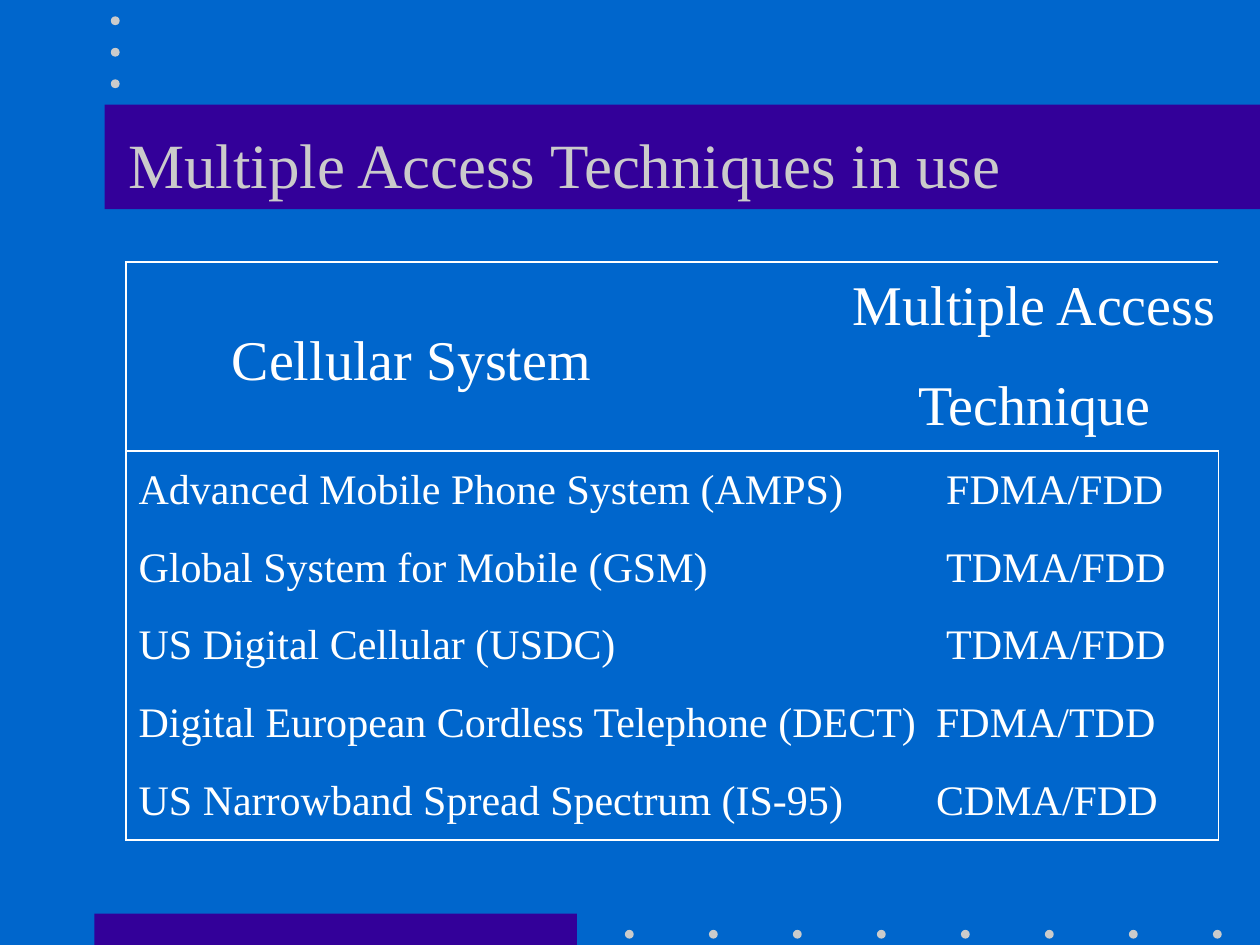
from typing import NamedTuple

from lxml import etree
from pptx import Presentation
from pptx.dml.color import RGBColor
from pptx.enum.shapes import MSO_SHAPE
from pptx.enum.text import MSO_ANCHOR, PP_ALIGN
from pptx.oxml.ns import qn
from pptx.util import Inches, Pt

RECTANGLE, OVAL = MSO_SHAPE.RECTANGLE, MSO_SHAPE.OVAL
LEFT, CENTER = PP_ALIGN.LEFT, PP_ALIGN.CENTER
MIDDLE = MSO_ANCHOR.MIDDLE

FONT = "Times New Roman"
BLUE, PURPLE, GRAY, WHITE = "0066CC", "330099", "CBCBCB", "FFFFFF"

DOT_SIZE = 0.07
TABLE_LEFT, TABLE_TOP = 1, 2.08
# The narrow middle column belongs to the header's right cell and the body's left cell.
COLUMN_WIDTHS = (5.72, 0.63, 2.32)
HEADER_HEIGHT, BODY_HEIGHT = 1.5, 3.09


class CellularSystem(NamedTuple):
    name: str
    technique: str
    indent: float


SYSTEMS = (
    CellularSystem("Advanced Mobile Phone System (AMPS)", "FDMA/FDD", 0.16),
    CellularSystem("Global System for Mobile (GSM)", "TDMA/FDD", 0.16),
    CellularSystem("US Digital Cellular (USDC)", "TDMA/FDD", 0.16),
    CellularSystem("Digital European Cordless Telephone (DECT)", "FDMA/TDD", 0.08),
    CellularSystem("US Narrowband Spread Spectrum (IS-95)", "CDMA/FDD", 0.08),
)


def color(value: str) -> RGBColor:
    return RGBColor.from_string(value)


def add_filled_shape(slide, kind, left: float, top: float, width: float,
                     height: float, fill: str) -> None:
    shape = slide.shapes.add_shape(
        kind, Inches(left), Inches(top), Inches(width), Inches(height))
    shape.shadow.inherit = False
    shape.fill.solid()
    shape.fill.fore_color.rgb = color(fill)
    shape.line.fill.background()


def write_text(text_frame, text: str, *, size: float, font_color: str = WHITE,
               align=LEFT, gap: float = 0) -> None:
    """Write one paragraph per line, with gap points between paragraphs."""
    lines = text.split("\n")
    for index, line in enumerate(lines):
        paragraph = text_frame.paragraphs[0] if index == 0 else text_frame.add_paragraph()
        paragraph.alignment = align
        if index < len(lines) - 1:
            paragraph.space_after = Pt(gap)
        run = paragraph.add_run()
        run.text = line
        run.font.name = FONT
        run.font.size = Pt(size)
        run.font.color.rgb = color(font_color)


def set_borders(cell, visible_sides: str) -> None:
    """Draw the sides named by the letters L, R, T and B; hide the others."""
    properties = cell._tc.get_or_add_tcPr()
    for side in "LRTB":
        line = etree.SubElement(properties, qn(f"a:ln{side}"), w=str(Pt(1)))
        if side in visible_sides:
            fill = etree.SubElement(line, qn("a:solidFill"))
            etree.SubElement(fill, qn("a:srgbClr"), val=WHITE)
        else:
            etree.SubElement(line, qn("a:noFill"))


def fill_cell(cell, text: str, *, size: float, left: float, top: float = 0.05,
              align=LEFT, gap: float = 0) -> None:
    cell.margin_left, cell.margin_right = Inches(left), 0
    cell.margin_top, cell.margin_bottom = Inches(top), Inches(0.05)
    cell.vertical_anchor = MIDDLE
    write_text(cell.text_frame, text, size=size, align=align, gap=gap)


def add_title(slide) -> None:
    box = slide.shapes.add_textbox(Inches(0.92), Inches(0.67), Inches(8.5), Inches(1.25))
    box.text_frame.word_wrap = True
    box.text_frame.vertical_anchor = MIDDLE
    write_text(box.text_frame, "Multiple Access Techniques in use",
               size=36, font_color=GRAY)


def add_systems_table(slide) -> None:
    row_count, column_count = len(SYSTEMS) + 1, len(COLUMN_WIDTHS)
    table = slide.shapes.add_table(
        row_count, column_count, Inches(TABLE_LEFT), Inches(TABLE_TOP),
        Inches(sum(COLUMN_WIDTHS)), Inches(HEADER_HEIGHT + BODY_HEIGHT)).table
    table.first_row = table.horz_banding = False
    for column, width in zip(table.columns, COLUMN_WIDTHS):
        column.width = Inches(width)
    for index, row in enumerate(table.rows):
        row.height = Inches(BODY_HEIGHT / len(SYSTEMS) if index else HEADER_HEIGHT)
        for position, cell in enumerate(row.cells):
            sides = "TB" if index == 0 else ""
            sides += "T" if index == 1 else ""
            sides += "B" if index == row_count - 1 else ""
            sides += "L" if position == 0 else ""
            sides += "R" if position == column_count - 1 else ""
            set_borders(cell, sides)
            cell.fill.background()

    table.cell(0, 1).merge(table.cell(0, 2))
    fill_cell(table.cell(0, 0), "Cellular System", size=32, left=0.84, top=0.13)
    fill_cell(table.cell(0, 1), "Multiple Access\nTechnique", size=32, left=0.03,
              align=CENTER, gap=22)
    for index, system in enumerate(SYSTEMS, start=1):
        table.cell(index, 0).merge(table.cell(index, 1))
        fill_cell(table.cell(index, 0), system.name, size=24, left=0.1)
        fill_cell(table.cell(index, 2), system.technique, size=24, left=system.indent)


def main() -> None:
    presentation = Presentation()
    presentation.slide_width, presentation.slide_height = Inches(10), Inches(7.5)
    slide = presentation.slides.add_slide(presentation.slide_layouts[6])
    slide.background.fill.solid()
    slide.background.fill.fore_color.rgb = color(BLUE)

    add_filled_shape(slide, RECTANGLE, 0.75, 7.25, 3.83, 0.25, PURPLE)
    add_filled_shape(slide, RECTANGLE, 0.83, 0.83, 9.17, 0.83, PURPLE)
    bottom_dots = [(4.96 + index * 2 / 3, 7.38) for index in range(8)]
    top_dots = [(0.88, 0.13 + index * 0.25) for index in range(3)]
    for left, top in bottom_dots + top_dots:
        add_filled_shape(slide, OVAL, left, top, DOT_SIZE, DOT_SIZE, GRAY)

    add_title(slide)
    add_systems_table(slide)
    presentation.save("out.pptx")


if __name__ == "__main__":
    main()
